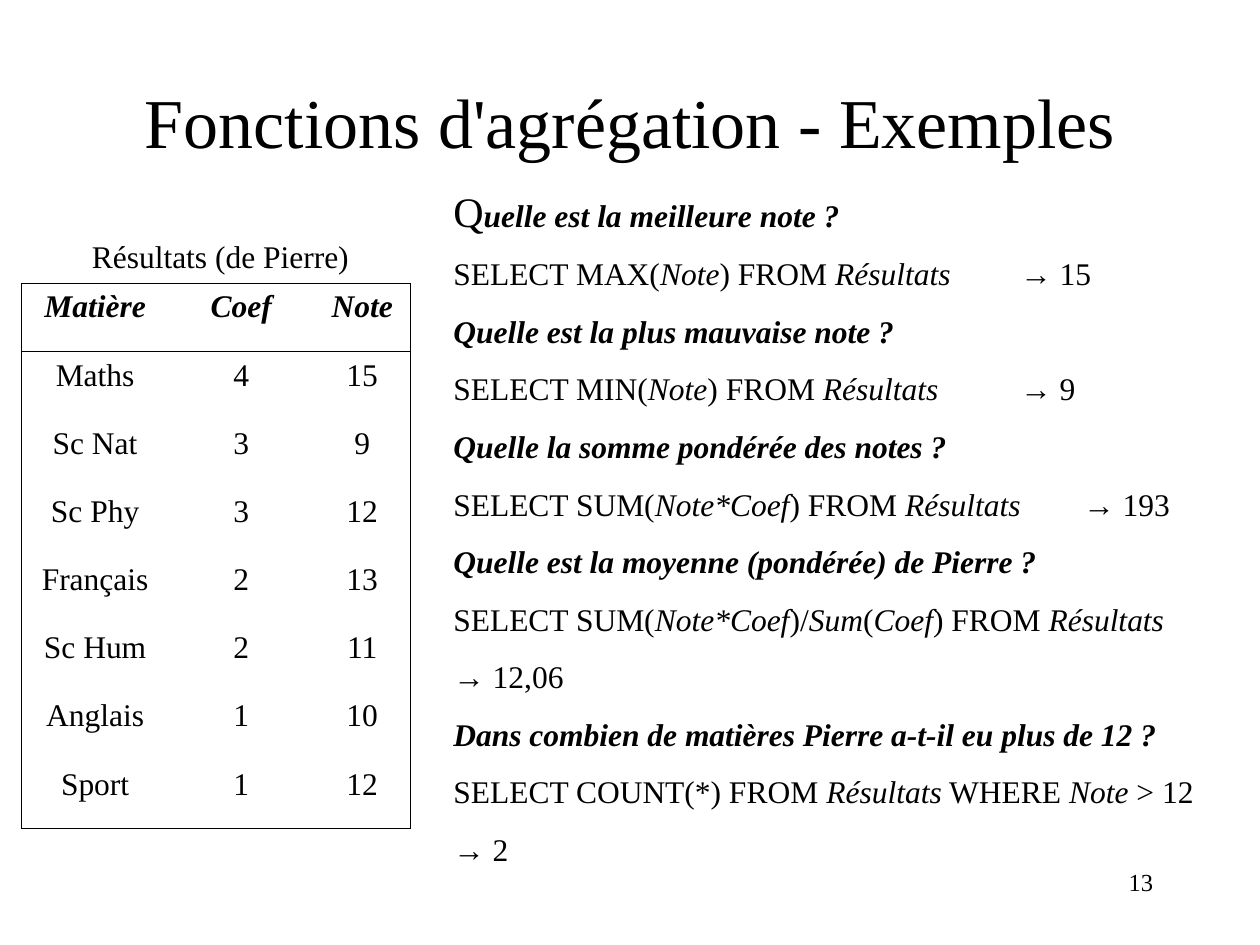
"""Build the slide on SQL aggregate functions with its table of results."""
from dataclasses import dataclass

from lxml import etree
from pptx import Presentation
from pptx.dml.color import RGBColor
from pptx.enum import text
from pptx.oxml import ns
from pptx.util import Inches, Pt


@dataclass(frozen=True)
class Theme:
    ink: str = "000000"
    font: str = "Times New Roman"
    arrow_font: str = "Arial"
    title: float = 40
    initial: float = 24
    body: float = 18
    number: float = 14
    line_gap: float = 11.2
    cell_gap: float = 4.5
    border: float = 0.45


@dataclass(frozen=True)
class Span:
    text: str
    italic: bool = False
    bold: bool = False
    size: float = Theme.body
    font: str = Theme.font


@dataclass(frozen=True)
class Entry:
    row: int
    width: float
    paragraphs: tuple


@dataclass(frozen=True)
class Box:
    left: float
    top: float
    width: float
    height: float

    def lengths(self):
        return [Inches(side) for side in (self.left, self.top, self.width, self.height)]


THEME = Theme()
FIRST_TOP, LAST_TOP, LAST_ROW = 1.97, 6.08, 9
TEXT_LEFT, LINE_HEIGHT = 3.5, 0.4
TABLE_BOX = Box(0.17, 2.25, 3.08, 4.33)
COLUMN_WIDTHS = (1.17, 1.15, 0.77)
RESULTS = (
    ("Matière", "Coef", "Note"),
    ("Maths", "4", "15"),
    ("Sc Nat", "3", "9"),
    ("Sc Phy", "3", "12"),
    ("Français", "2", "13"),
    ("Sc Hum", "2", "11"),
    ("Anglais", "1", "10"),
    ("Sport", "1", "12"),
)


def question(wording: str) -> list[Span]:
    """Return a question in bold italics."""
    return [Span(wording, italic=True, bold=True)]


def query(wording: str) -> list[Span]:
    """Return a query whose names stand in italics between underscores."""
    return [Span(part, italic=index % 2 == 1)
            for index, part in enumerate(wording.split("_")) if part]


def answer(value: str) -> list[Span]:
    """Return an arrow followed by a value."""
    return [Span("→", font=THEME.arrow_font), Span(f" {value}")]


ENTRIES = (
    Entry(0, 6.17, (query("SELECT MAX(_Note_) FROM _Résultats\t\t_") + answer("15"),)),
    Entry(1, 4.75, (question("Quelle est la plus mauvaise note ?"),)),
    Entry(2, 6.08, (query("SELECT MIN(_Note_) FROM _Résultats\t\t_") + answer("9"),)),
    Entry(3, 4.75, (question("Quelle la somme pondérée des notes ?"),)),
    Entry(4, 6.33, (query("SELECT SUM(_Note*Coef_) FROM _Résultats\t_") + answer("193"),)),
    Entry(5, 6.17, (question("Quelle est la moyenne (pondérée) de Pierre ?"),)),
    Entry(6, 6, (query("SELECT SUM(_Note*Coef_)/_Sum_(_Coef_) FROM _Résultats"),
                 answer("12,06"))),
    Entry(8, 6, (question("Dans combien de matières Pierre a-t-il eu plus de 12 ?"),)),
    Entry(9, 6.42, (query("SELECT COUNT(*) FROM _Résultats_ WHERE _Note _> 12"),
                    answer("2"))),
)


def write(paragraph, spans: list[Span], align=text.PP_ALIGN.LEFT, gap: float = 0) -> None:
    """Fill a paragraph with formatted runs."""
    paragraph.alignment = align
    paragraph.space_before = Pt(gap)
    for span in spans:
        run = paragraph.add_run()
        run.text = span.text
        run.font.name = span.font
        run.font.size = Pt(span.size)
        run.font.bold = span.bold
        run.font.italic = span.italic
        run.font.color.rgb = RGBColor.from_string(THEME.ink)


def add_text(slide, box: Box, paragraphs: tuple, align=text.PP_ALIGN.LEFT) -> None:
    """Add a wrapped text box with one paragraph per list of spans."""
    frame = slide.shapes.add_textbox(*box.lengths()).text_frame
    frame.word_wrap = True
    for index, spans in enumerate(paragraphs):
        paragraph = frame.add_paragraph() if index else frame.paragraphs[0]
        write(paragraph, spans, align, THEME.line_gap)


def set_borders(cell, visible: dict[str, bool]) -> None:
    """Draw the visible sides of a cell and hide the others."""
    properties = cell._tc.get_or_add_tcPr()
    for side, shown in visible.items():
        line = etree.SubElement(properties, ns.qn(f"a:ln{side}"), w=str(int(Pt(THEME.border))))
        fill = etree.SubElement(line, ns.qn("a:solidFill" if shown else "a:noFill"))
        if shown:
            etree.SubElement(fill, ns.qn("a:srgbClr"), val=THEME.ink)


def add_results(slide) -> None:
    """Add the table of results, framed and ruled under its header."""
    rows, columns = len(RESULTS), len(COLUMN_WIDTHS)
    table = slide.shapes.add_table(rows, columns, *TABLE_BOX.lengths()).table
    table.first_row = table.horz_banding = False
    for column, width in zip(table.columns, COLUMN_WIDTHS):
        column.width = Inches(width)
    for row_index, values in enumerate(RESULTS):
        header = row_index == 0
        for column_index, value in enumerate(values):
            cell = table.cell(row_index, column_index)
            write(cell.text_frame.paragraphs[0], [Span(value, header, header)],
                  text.PP_ALIGN.CENTER, THEME.cell_gap)
            set_borders(cell, {
                "L": column_index == 0,
                "R": column_index == columns - 1,
                "T": row_index <= 1,
                "B": row_index in (0, rows - 1),
            })
            cell.fill.background()


def add_title(slide, wording: str) -> None:
    """Place and format the title placeholder."""
    title = slide.shapes.title
    title.left, title.top, title.width, title.height = Box(0.75, 0.33, 8.5, 1.25).lengths()
    title.text_frame.auto_size = text.MSO_AUTO_SIZE.NONE
    title.text_frame.vertical_anchor = text.MSO_ANCHOR.MIDDLE
    write(title.text_frame.paragraphs[0], [Span(wording, size=THEME.title)],
          text.PP_ALIGN.CENTER)


def main() -> None:
    """Assemble and save the presentation."""
    presentation = Presentation()
    presentation.slide_width, presentation.slide_height = Inches(10), Inches(7.5)
    slide = presentation.slides.add_slide(presentation.slide_layouts[5])
    add_title(slide, "Fonctions d'agrégation - Exemples")
    add_text(slide, Box(7.17, 6.83, 2.08, 0.5), ([Span("13", size=THEME.number)],),
             text.PP_ALIGN.RIGHT)
    add_results(slide)
    add_text(slide, Box(0.25, 1.83, 3, LINE_HEIGHT), ([Span("Résultats (de Pierre)")],),
             text.PP_ALIGN.CENTER)
    add_text(slide, Box(TEXT_LEFT, 1.42, 4.75, 0.5),
             ([Span("Q", size=THEME.initial)] + question("uelle est la meilleure note ?"),))
    pitch = (LAST_TOP - FIRST_TOP) / LAST_ROW
    for entry in ENTRIES:
        height = LINE_HEIGHT + pitch * (len(entry.paragraphs) - 1)
        add_text(slide, Box(TEXT_LEFT, FIRST_TOP + pitch * entry.row, entry.width, height),
                 entry.paragraphs)
    presentation.save("out.pptx")


if __name__ == "__main__":
    main()
